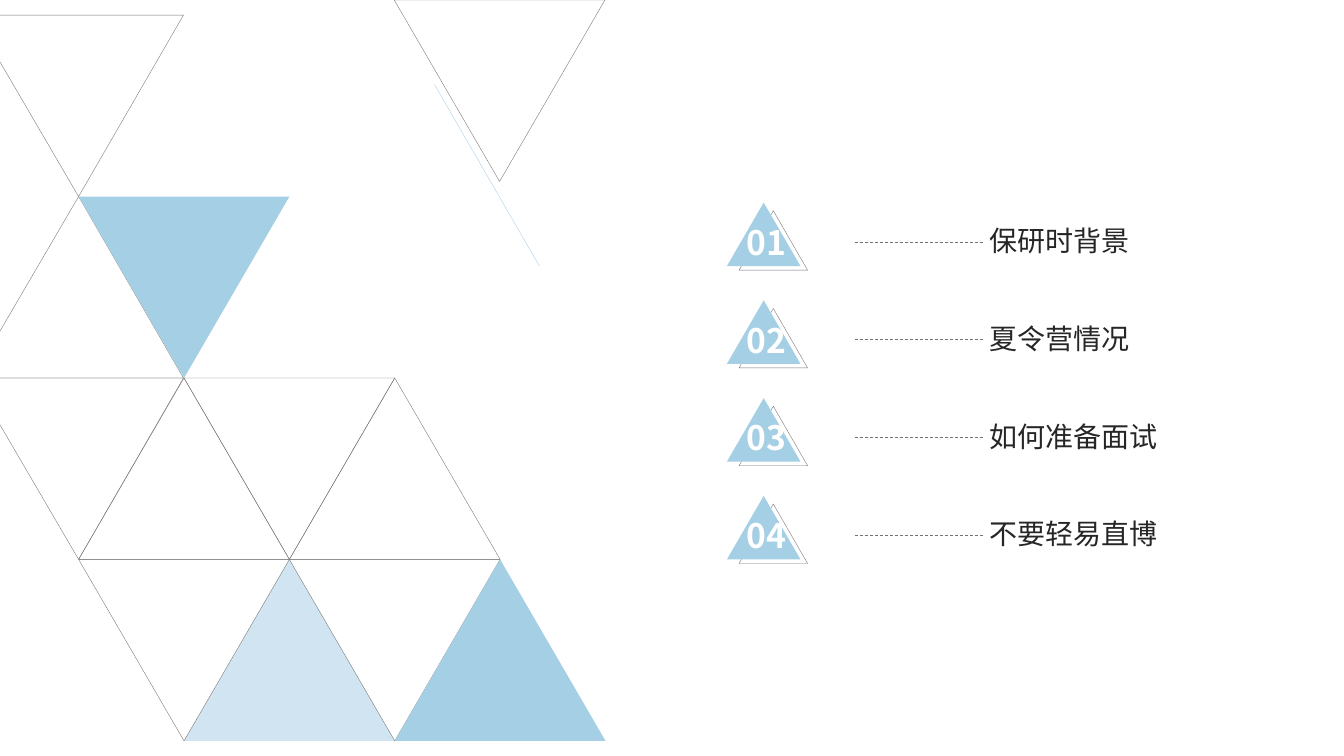
from pptx import Presentation
from pptx.dml.color import RGBColor
from pptx.enum.dml import MSO_LINE
from pptx.enum.shapes import MSO_CONNECTOR, MSO_SHAPE
from pptx.enum.text import MSO_ANCHOR, MSO_AUTO_SIZE, PP_ALIGN
from pptx.oxml.ns import qn
from pptx.util import Inches, Pt
from lxml.etree import SubElement

FONT = "Noto Sans CJK SC"
BLUE = RGBColor(0xA5, 0xCF, 0xE5)
GRAY = RGBColor(0x76, 0x71, 0x71)
DARK = RGBColor(0x26, 0x26, 0x26)
WHITE = RGBColor(0xFF, 0xFF, 0xFF)

TOPICS = ["保研时背景", "夏令营情况", "如何准备面试", "不要轻易直博"]

SIDE, HEIGHT = 2.09, 1.8
GRID_LEFT, GRID_TOP = 0.78, 0.15
EDGE = -0.02
# column in half sides, row, points down, opacity in percent (None for outline)
MOSAIC = [
    (1, 2, True, None),
    (1, 3, False, 52),
    (0, 2, False, None),
    (2, 3, True, None),
    (3, 3, False, 100),
    (0, 3, True, None),
    (0, 1, True, 100),
    (2, 2, False, None),
]
CUT_TRIANGLES = [
    [(1.82, 3.75), (EDGE, 3.75), (EDGE, 4.18), (0.78, 5.55)],
    [(0.78, 1.95), (EDGE, 3.32), (EDGE, 3.75), (1.82, 3.75)],
    [(1.82, 0.15), (EDGE, 0.15), (EDGE, 0.58), (0.78, 1.95)],
]
TOPIC_TOP, TOPIC_STEP = 2.01, 0.97

prs = Presentation()
prs.slide_width, prs.slide_height = Inches(13.33), Inches(7.5)
s = prs.slides.add_slide(prs.slide_layouts[6])


def style(sp, opacity):
    sp.shadow.inherit = False
    if opacity is None:
        sp.fill.background()
        sp.line.color.rgb = GRAY
        sp.line.width = Pt(0.25)
        return
    sp.fill.solid()
    sp.fill.fore_color.rgb = BLUE
    sp.line.fill.background()
    if opacity < 100:
        color = sp._element.spPr.find(".//" + qn("a:srgbClr"))
        SubElement(color, qn("a:alpha"), val=str(opacity * 1000))


def add_triangle(x, y, w, h, down=False, opacity=None):
    sp = s.shapes.add_shape(MSO_SHAPE.ISOSCELES_TRIANGLE, Inches(x), Inches(y), Inches(w), Inches(h))
    sp.rotation = 180 if down else 0
    style(sp, opacity)


def add_cut_triangle(points):
    start, *rest = [(Inches(x), Inches(y)) for x, y in points]
    builder = s.shapes.build_freeform(*start)
    builder.add_line_segments(rest, close=True)
    style(builder.convert_to_shape(), None)


def add_line(x1, y1, x2, y2, color, width):
    line = s.shapes.add_connector(MSO_CONNECTOR.STRAIGHT, Inches(x1), Inches(y1), Inches(x2), Inches(y2))
    line.line.color.rgb = color
    line.line.width = Pt(width)
    SubElement(line._element.spPr, qn("a:effectLst"))
    return line


def add_text(text, x, y, w, h, size, color, bold=False):
    tf = s.shapes.add_textbox(Inches(x), Inches(y), Inches(w), Inches(h)).text_frame
    tf.word_wrap = True
    tf.text = text
    r = tf.paragraphs[0].runs[0]
    r.font.name, r.font.size, r.font.bold = FONT, Pt(size), bold
    r.font.color.rgb = color
    SubElement(r.font._element, qn("a:ea"), typeface=FONT)
    return tf


add_triangle(3.91, 0, SIDE, HEIGHT, down=True)
for points in CUT_TRIANGLES:
    add_cut_triangle(points)
for col, row, down, opacity in MOSAIC:
    add_triangle(GRID_LEFT + col * SIDE / 2, GRID_TOP + row * HEIGHT, SIDE, HEIGHT, down, opacity)
add_line(4.31, 0.84, 5.35, 2.64, BLUE, 0.25)

for i, topic in enumerate(TOPICS):
    y = TOPIC_TOP + i * TOPIC_STEP
    add_triangle(7.33, y + 0.08, 0.68, 0.59)
    add_triangle(7.21, y, 0.73, 0.63, opacity=100)
    number = add_text(f"{i + 1:02}", 7.31, y + 0.14, 0.68, 0.5, 24, WHITE, bold=True)
    number.auto_size = MSO_AUTO_SIZE.SHAPE_TO_FIT_TEXT
    tf = add_text(topic, 9.81, y + 0.12, 2.41, 0.51, 20, DARK)
    tf.margin_left = tf.margin_top = tf.margin_right = tf.margin_bottom = 0
    tf.vertical_anchor = MSO_ANCHOR.MIDDLE
    tf.paragraphs[0].alignment = PP_ALIGN.JUSTIFY
    rule = add_line(8.48, y + 0.39, 9.75, y + 0.39, GRAY, 0.5)
    rule.line.dash_style = MSO_LINE.DASH

prs.save("out.pptx")
